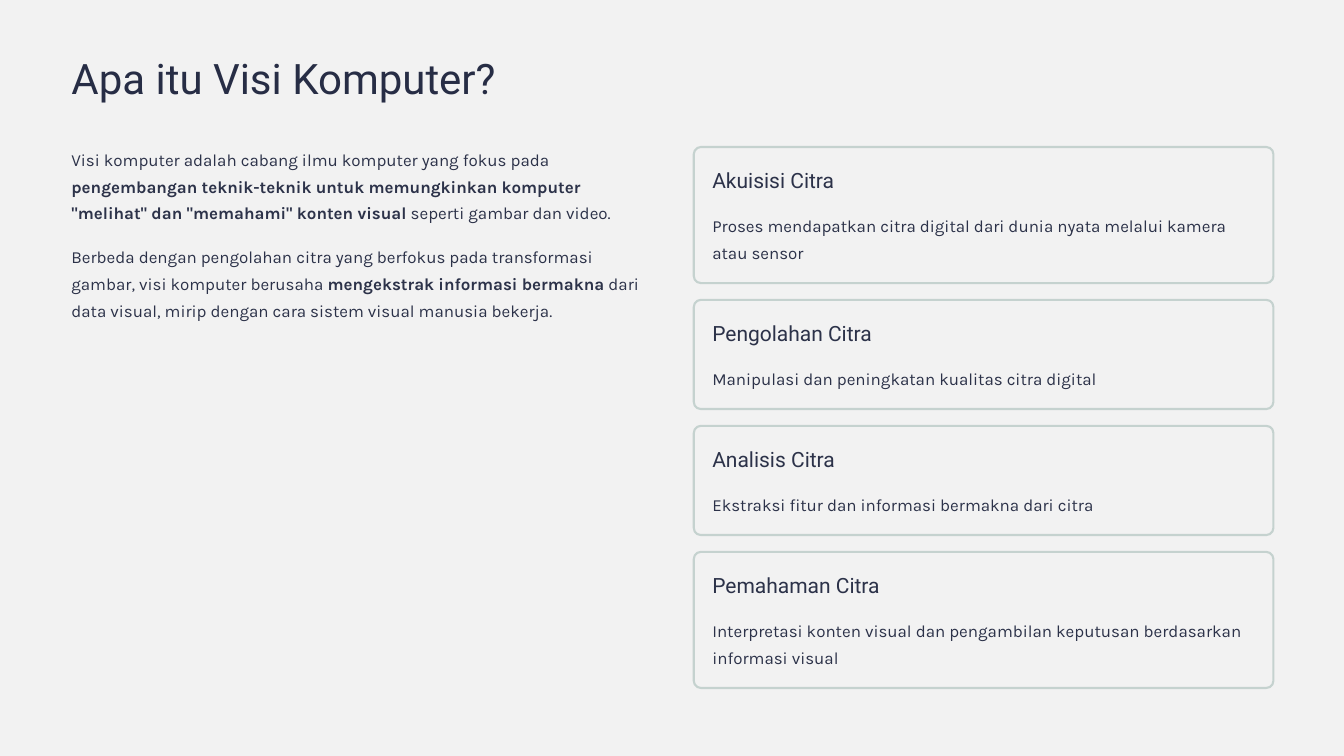
import pptx
import pptx.dml.color
import pptx.enum.shapes
import pptx.enum.text
import pptx.util

Inches = pptx.util.Inches
Pt = pptx.util.Pt
RGBColor = pptx.dml.color.RGBColor

PAPER = RGBColor(0xF2, 0xF2, 0xF2)
TITLE_INK = RGBColor(0x27, 0x2D, 0x45)
INK = RGBColor(0x2C, 0x32, 0x49)
BORDER = RGBColor(0xC5, 0xD2, 0xCF)


def write(text, *, shape, size=14.5, font="Karla", color=INK, leading=23, wrap=True):
    """Fill a shape with one paragraph; text between ** marks is bold."""
    frame = shape.text_frame
    frame.margin_left = frame.margin_right = frame.margin_top = frame.margin_bottom = 0
    frame.auto_size = pptx.enum.text.MSO_AUTO_SIZE.NONE
    frame.vertical_anchor = pptx.enum.text.MSO_ANCHOR.TOP
    frame.word_wrap = wrap
    paragraph = frame.paragraphs[0]
    paragraph.alignment = pptx.enum.text.PP_ALIGN.LEFT
    paragraph.line_spacing = Pt(leading)
    for index, piece in enumerate(text.split("**")):
        run = paragraph.add_run()
        run.text = piece
        run.font.name = font
        run.font.size = Pt(size)
        run.font.bold = index % 2 == 1
        run.font.color.rgb = color


deck = pptx.Presentation()
deck.slide_width, deck.slide_height = Inches(16), Inches(9)
slide = deck.slides.add_slide(deck.slide_layouts[5])
slide.background.fill.solid()
slide.background.fill.fore_color.rgb = PAPER

# Two equal columns
LEFT_COLUMN, RIGHT_COLUMN, COLUMN_WIDTH = 0.85, 8.26, 6.9
LINE_HEIGHT = 0.32

# Title
title = slide.shapes.title
title.left, title.top = Inches(LEFT_COLUMN), Inches(0.59)
title.width, title.height = Inches(5.13), Inches(0.63)
write("Apa itu Visi Komputer?", shape=title, size=36, font="Roboto",
      color=TITLE_INK, leading=45.5, wrap=False)

# Definition in the left column
definition = [
    "Visi komputer adalah cabang ilmu komputer yang fokus pada "
    "**pengembangan teknik-teknik untuk memungkinkan komputer "
    "\"melihat\" dan \"memahami\" konten visual** seperti gambar dan video.",
    "Berbeda dengan pengolahan citra yang berfokus pada transformasi gambar, "
    "visi komputer berusaha **mengekstrak informasi bermakna** dari data visual, "
    "mirip dengan cara sistem visual manusia bekerja.",
]
for row, passage in enumerate(definition):
    write(passage, shape=slide.shapes.add_textbox(
        Inches(LEFT_COLUMN), Inches(1.7 + 1.16 * row), Inches(COLUMN_WIDTH), Inches(0.97)))

# Stage cards in the right column: heading, description, lines of description
stages = [
    ("Akuisisi Citra",
     "Proses mendapatkan citra digital dari dunia nyata melalui kamera atau sensor", 2),
    ("Pengolahan Citra", "Manipulasi dan peningkatan kualitas citra digital", 1),
    ("Analisis Citra", "Ekstraksi fitur dan informasi bermakna dari citra", 1),
    ("Pemahaman Citra",
     "Interpretasi konten visual dan pengambilan keputusan berdasarkan informasi visual", 2),
]
CARD_GAP, CARD_PADDING, CORNER_RADIUS = 0.2, 0.22, 0.085
text_left = Inches(RIGHT_COLUMN + CARD_PADDING)
card_top = 1.75
for heading, description, lines in stages:
    card_height = 0.98 + LINE_HEIGHT * lines
    card = slide.shapes.add_shape(
        pptx.enum.shapes.MSO_SHAPE.ROUNDED_RECTANGLE,
        Inches(RIGHT_COLUMN), Inches(card_top), Inches(COLUMN_WIDTH), Inches(card_height))
    card.adjustments[0] = CORNER_RADIUS / card_height
    card.shadow.inherit = False
    card.fill.solid()
    card.fill.fore_color.rgb = PAPER
    card.line.color.rgb = BORDER
    card.line.width = Pt(1.8)

    write(heading, size=18, font="Roboto", leading=22.5, wrap=False,
          shape=slide.shapes.add_textbox(
              text_left, Inches(card_top + 0.23), Inches(2.53), Inches(LINE_HEIGHT)))
    write(description, wrap=lines > 1, shape=slide.shapes.add_textbox(
        text_left, Inches(card_top + 0.74),
        Inches(COLUMN_WIDTH - 2 * CARD_PADDING), Inches(LINE_HEIGHT * lines)))
    card_top += card_height + CARD_GAP

deck.save("out.pptx")
